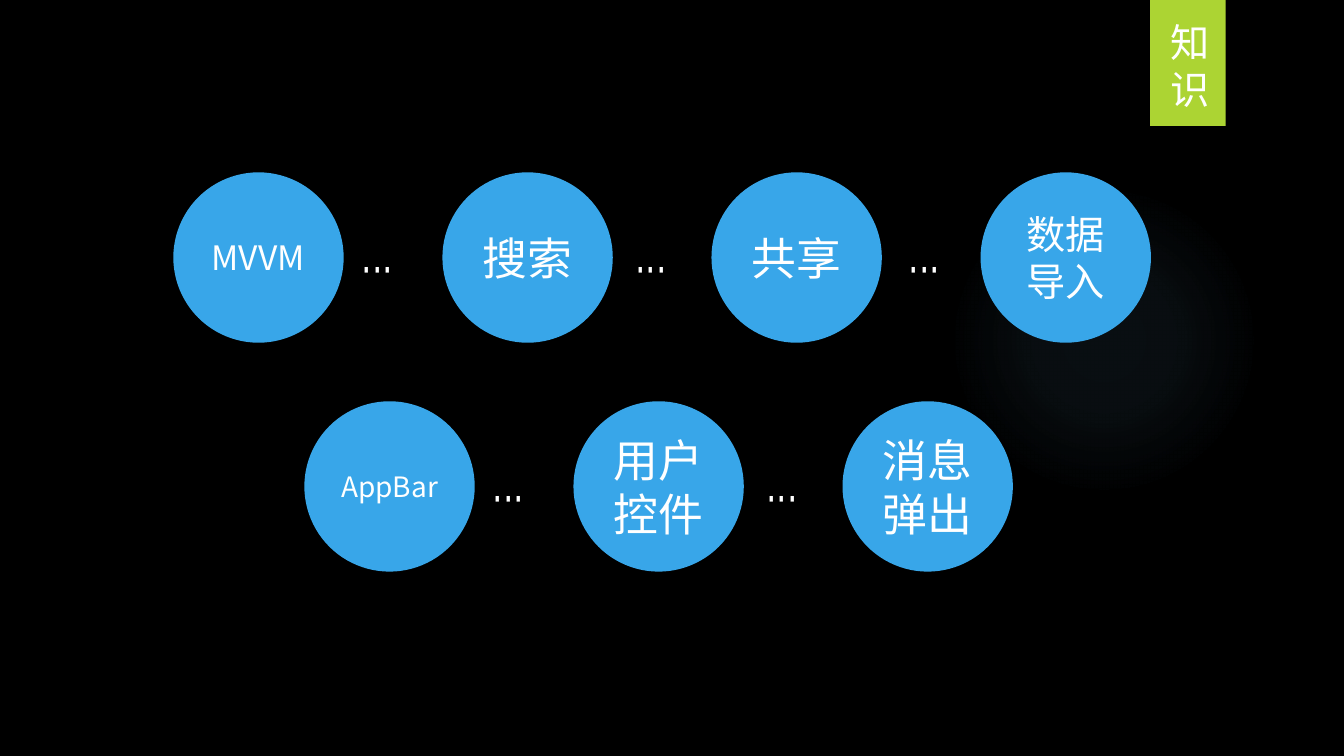
from lxml import etree
from pptx import Presentation
from pptx.dml.color import RGBColor as Rgb
from pptx.enum.shapes import MSO_SHAPE as Kind
from pptx.enum.text import MSO_ANCHOR as Anchor, MSO_AUTO_SIZE as Auto, PP_ALIGN as Align
from pptx.oxml import parse_xml
from pptx.oxml.ns import qn
from pptx.util import Pt

HUES = {"back": "000000", "disc": "38A6E9", "tag": "ACD433", "glow": "7AC4F0", "text": "FFFFFF"}
SANS = "Noto Sans CJK SC"
DOTS = "TeX Gyre Adventor"
NS = 'xmlns:a="http://schemas.openxmlformats.org/drawingml/2006/main"'

SIDE = 121.7
STEP = 192.2
ROWS = [
    (123.8, 123.1, [("MVVM", 24), ("搜索", 32), ("共享", 32), ("数据导入", 28)]),
    (217.4, 286.6, [("AppBar", 20), ("用户控件", 32), ("消息弹出", 32)]),
]
DOT_LEFT, DOT_TOP, DOT_STEP = 127.4, 42.5, 195.5


class Deck:
    def __init__(self, slide):
        self.slide = slide
        fill = slide.background.fill
        fill.solid()
        fill.fore_color.rgb = Rgb.from_string(HUES["back"])

    def shape(self, home, kind, box, hue):
        item = home.add_shape(kind, *map(Pt, box))
        item.shadow.inherit = False
        item.fill.solid()
        item.fill.fore_color.rgb = Rgb.from_string(HUES[hue])
        item.line.fill.background()
        return item

    def words(self, frame, text, size, font, align=Align.LEFT):
        frame.text = text
        for para in frame.paragraphs:
            para.alignment = align
            for run in para.runs:
                run.font.size = Pt(size)
                run.font.color.rgb = Rgb.from_string(HUES["text"])
                run.font.name = font
                east = etree.SubElement(run._r.get_or_add_rPr(), qn("a:ea"))
                east.set("typeface", font)

    def label(self, home, box, text, size, font):
        item = home.add_textbox(*map(Pt, box))
        frame = item.text_frame
        frame.word_wrap = False
        frame.auto_size = Auto.SHAPE_TO_FIT_TEXT
        self.words(frame, text, size, font)

    def disc(self, home, left, top, text, size):
        item = self.shape(home, Kind.OVAL, (left, top, SIDE, SIDE), "disc")
        frame = item.text_frame
        frame.word_wrap = True
        frame.vertical_anchor = Anchor.MIDDLE
        self.words(frame, text, size, SANS, Align.CENTER)

    def glow(self, box):
        item = self.shape(self.slide.shapes, Kind.OVAL, box, "glow")
        stops = "".join(
            f'<a:gs pos="{pos * 1000}"><a:srgbClr val="{HUES["glow"]}">'
            f'<a:alpha val="{alpha * 1000}"/></a:srgbClr></a:gs>'
            for pos, alpha in [(0, 7), (36, 6), (69, 0)]
        )
        grad = parse_xml(
            f'<a:gradFill {NS} rotWithShape="1"><a:gsLst>{stops}</a:gsLst><a:path path="circle">'
            '<a:fillToRect l="50000" t="50000" r="50000" b="50000"/></a:path></a:gradFill>'
        )
        props = item._element.spPr
        props.replace(props.find(qn("a:solidFill")), grad)

    def tag(self, box):
        item = self.shape(self.slide.shapes, Kind.RECTANGLE, box, "tag")
        shade = parse_xml(
            f'<a:outerShdw {NS} blurRad="{Pt(3)}" dist="{Pt(2)}" dir="5400000" rotWithShape="0">'
            '<a:srgbClr val="000000"><a:alpha val="45000"/></a:srgbClr></a:outerShdw>'
        )
        item._element.spPr.find(qn("a:effectLst")).append(shade)

    def row(self, left, top, names):
        home = self.slide.shapes.add_group_shape().shapes
        for i, (text, size) in enumerate(names):
            self.disc(home, left + i * STEP, top, text, size)
        for i in range(len(names) - 1):
            box = (left + DOT_LEFT + i * DOT_STEP, top + DOT_TOP, 46.8, 46.1)
            self.label(home, box, "···", 32, DOTS)


def main():
    show = Presentation()
    show.slide_width, show.slide_height = Pt(960), Pt(540)
    deck = Deck(show.slides.add_slide(show.slide_layouts[6]))
    deck.glow((677.5, 131.8, 221.8, 221.8))
    deck.tag((821.5, 0, 54, 90))
    deck.label(deck.slide.shapes, (828.7, 9.4, 42.5, 74.9), "知\n识", 28, SANS)
    for row in ROWS:
        deck.row(*row)
    show.save("out.pptx")


if __name__ == "__main__":
    main()
